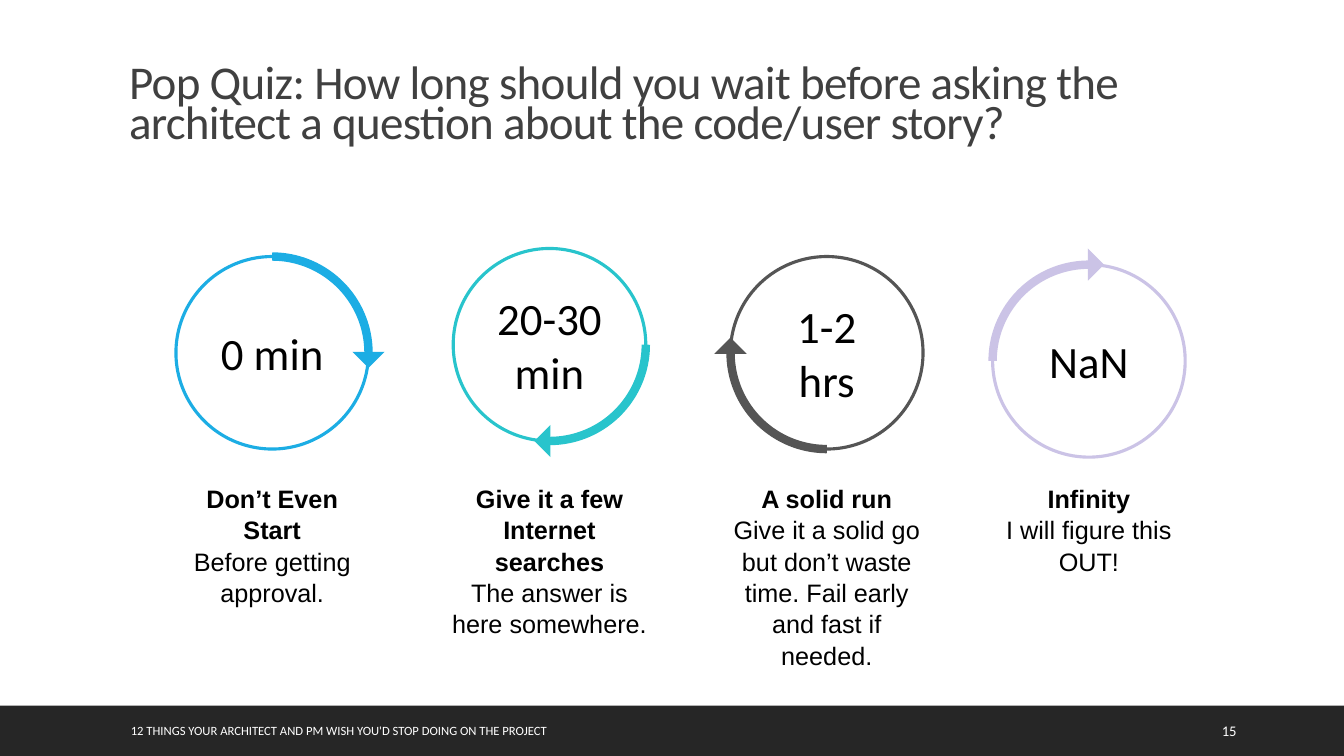
from math import cos, radians, sin

from pptx import Presentation
from pptx.dml.color import RGBColor
from pptx.enum.shapes import MSO_SHAPE
from pptx.enum.text import MSO_ANCHOR, PP_ALIGN
from pptx.util import Inches, Pt

COLORS = {
    "bar": "262626",
    "white": "FFFFFF",
    "black": "000000",
    "title": "404040",
    "blue": "1CADE4",
    "teal": "28C4CC",
    "gray": "555555",
    "lilac": "CBC3E6",
}

DIAMETER = 1.91
ARROW_WIDTH, ARROW_HEIGHT = 0.32, 0.16
ARROW_ADVANCE = 0.07
CAPTION_TOP, CAPTION_WIDTH, CAPTION_HEIGHT = 4.78, 1.94, 0.67

# Center x, center y, color, wait time, heading, detail
ANSWERS = [
    (2.7, 3.5, "blue", "0 min", "Don’t Even Start", "Before getting approval."),
    (5.45, 3.42, "teal", "20-30 min", "Give it a few Internet searches",
     "The answer is here somewhere."),
    (8.2, 3.5, "gray", "1-2 hrs", "A solid run",
     "Give it a solid go but don’t waste time. Fail early and fast if needed."),
    (10.8, 3.58, "lilac", "NaN", "Infinity", "I will figure this OUT!"),
]


def color(name):
    return RGBColor.from_string(COLORS[name])


def add_run(paragraph, text, size, color_name, font="Calibri", bold=False):
    run = paragraph.add_run()
    run.text = text
    run.font.name = font
    run.font.size = Pt(size)
    run.font.bold = bold
    run.font.color.rgb = color(color_name)
    return run


def set_margins(frame, side, top):
    frame.margin_left = frame.margin_right = Inches(side)
    frame.margin_top = frame.margin_bottom = Inches(top)


def add_figure(slide, kind, center_x, center_y, width, height,
               fill=None, line=None, line_width=0, rotation=0):
    shape = slide.shapes.add_shape(
        kind, Inches(center_x - width / 2), Inches(center_y - height / 2),
        Inches(width), Inches(height))
    shape.shadow.inherit = False
    shape.rotation = rotation
    if fill:
        shape.fill.solid()
        shape.fill.fore_color.rgb = color(fill)
    else:
        shape.fill.background()
    if line:
        shape.line.color.rgb = color(line)
        shape.line.width = Pt(line_width)
    else:
        shape.line.fill.background()
    return shape


def add_text_box(slide, left, top, width, height):
    frame = slide.shapes.add_textbox(
        Inches(left), Inches(top), Inches(width), Inches(height)).text_frame
    frame.word_wrap = True
    return frame


def add_title(slide, text):
    title = slide.shapes.title
    title.left, title.top = Inches(1.18), Inches(0.61)
    title.width, title.height = Inches(11), Inches(0.92)
    title.text_frame.vertical_anchor = MSO_ANCHOR.MIDDLE
    paragraph = title.text_frame.paragraphs[0]
    paragraph.alignment = PP_ALIGN.LEFT
    paragraph.line_spacing = 0.7
    run = add_run(paragraph, text, 33.6, "title")
    run.font._element.set("spc", "-50")  # letter spacing


def add_footer_text(slide, left, width, text, size):
    frame = add_text_box(slide, left, 7.05, width, 0.4)
    frame.vertical_anchor = MSO_ANCHOR.MIDDLE
    add_run(frame.paragraphs[0], text, size, "white")


def add_dial(slide, center_x, center_y, color_name, wait, turn):
    """Circle with a quarter arc that starts at the given turn and ends in an arrow."""
    circle = add_figure(slide, MSO_SHAPE.OVAL, center_x, center_y, DIAMETER,
                        DIAMETER, fill="white", line=color_name, line_width=2.25)
    frame = circle.text_frame
    frame.word_wrap = True
    frame.vertical_anchor = MSO_ANCHOR.MIDDLE
    set_margins(frame, 0.07, 0)
    frame.paragraphs[0].alignment = PP_ALIGN.CENTER
    add_run(frame.paragraphs[0], wait, 32, "black")

    # The arrowhead sits slightly past the end of the arc
    angle, radius = radians(turn), DIAMETER / 2
    arrow_x = center_x + radius * cos(angle) - ARROW_ADVANCE * sin(angle)
    arrow_y = center_y + radius * sin(angle) + ARROW_ADVANCE * cos(angle)
    add_figure(slide, MSO_SHAPE.ISOSCELES_TRIANGLE, arrow_x, arrow_y, ARROW_WIDTH,
               ARROW_HEIGHT, fill=color_name, rotation=(180 + turn) % 360)
    add_figure(slide, MSO_SHAPE.ARC, center_x, center_y, DIAMETER, DIAMETER,
               line=color_name, line_width=6, rotation=turn)


def add_caption(slide, center_x, heading, detail):
    frame = add_text_box(slide, center_x - CAPTION_WIDTH / 2, CAPTION_TOP,
                         CAPTION_WIDTH, CAPTION_HEIGHT)
    set_margins(frame, 0, 0)
    for paragraph, text, bold in ((frame.paragraphs[0], heading, True),
                                  (frame.add_paragraph(), detail, False)):
        paragraph.alignment = PP_ALIGN.CENTER
        paragraph.line_spacing = 1.04
        add_run(paragraph, text, 18, "black", "Arial", bold)


def main():
    presentation = Presentation()
    presentation.slide_width = Inches(13.33)
    presentation.slide_height = Inches(7.5)
    slide = presentation.slides.add_slide(presentation.slide_layouts[5])

    # Footer bar
    add_figure(slide, MSO_SHAPE.RECTANGLE, 13.33 / 2, 7.25, 13.33, 0.5, fill="bar")
    add_footer_text(slide, 1.2, 7.46,
                    "12 THINGS YOUR ARCHITECT AND PM WISH YOU'D STOP DOING ON THE PROJECT", 9)
    add_footer_text(slide, 12.02, 0.85, "15", 10.5)

    # Title
    add_title(slide, "Pop Quiz: How long should you wait before asking the "
                     "architect a question about the code/user story?")

    # Answers
    for index, (center_x, center_y, color_name, wait, heading, detail) in enumerate(ANSWERS):
        add_dial(slide, center_x, center_y, color_name, wait, 90 * index)
        add_caption(slide, center_x, heading, detail)

    presentation.save("out.pptx")


if __name__ == "__main__":
    main()
